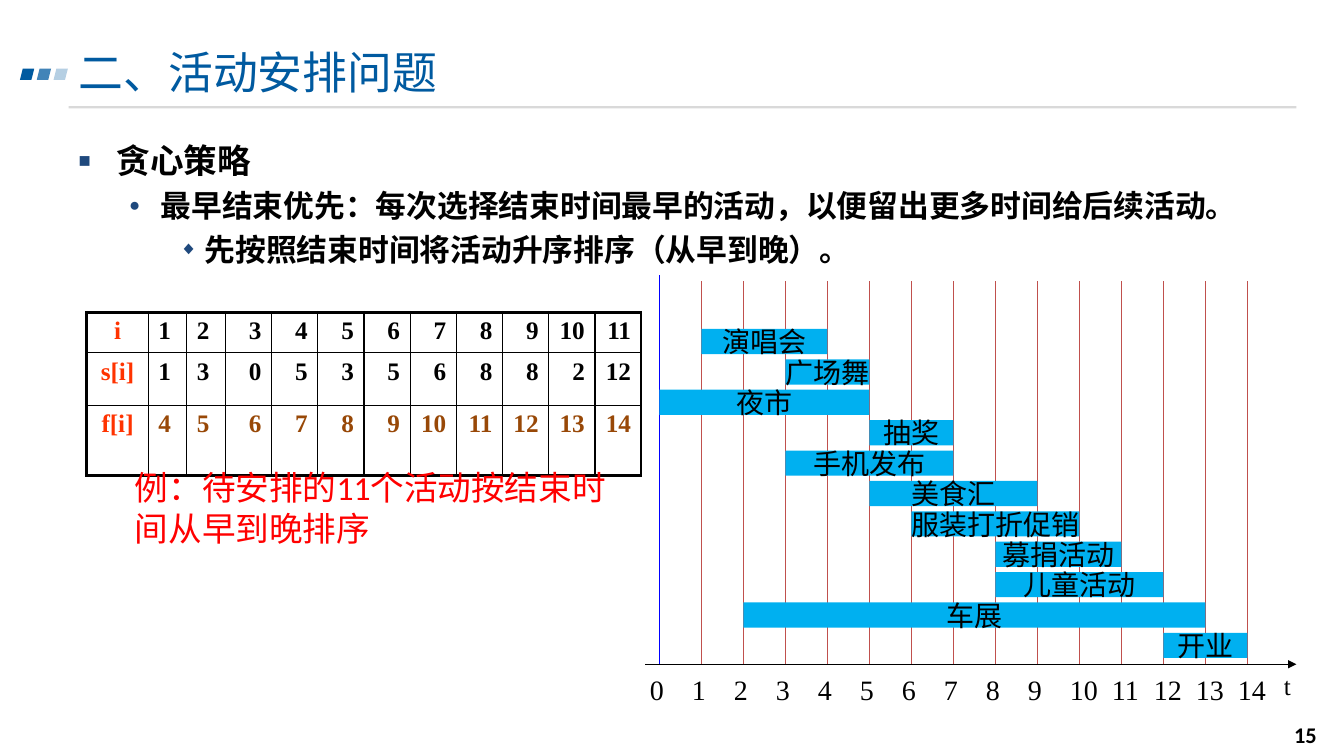
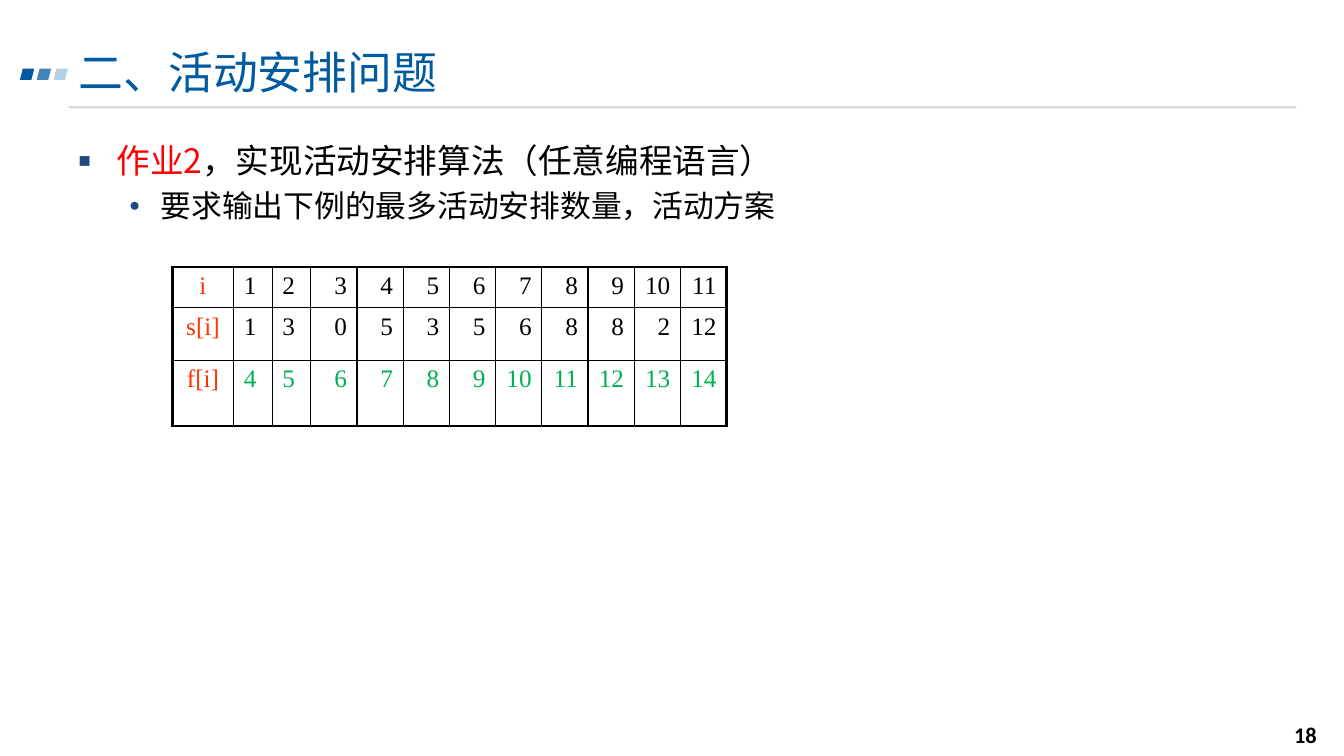
from lxml import etree
from pptx import Presentation
from pptx.dml.color import RGBColor
from pptx.enum import shapes, text
from pptx.oxml.ns import qn
from pptx.util import Pt

BLACK = RGBColor(0x00, 0x00, 0x00)
RED = RGBColor(0xFF, 0x00, 0x00)
BLUE = RGBColor(0x00, 0x5A, 0xA0)
GRAY = RGBColor(0xD9, 0xD9, 0xD9)
BULLET = RGBColor(0x1F, 0x49, 0x7D)
GRID = RGBColor(0xC0, 0x50, 0x4D)
ORIGIN = RGBColor(0x00, 0x00, 0xFF)
BAR = RGBColor(0x00, 0xB0, 0xF0)
HEAD = RGBColor(0xFF, 0x33, 0x00)
BROWN = RGBColor(0x98, 0x48, 0x07)
GREEN = RGBColor(0x00, 0xB0, 0x50)

CJK, SANS, SERIF = "Noto Sans CJK SC", "Calibri", "Times New Roman"
LEFT, CENTER, RIGHT = text.PP_ALIGN.LEFT, text.PP_ALIGN.CENTER, text.PP_ALIGN.RIGHT
TOP, MIDDLE = text.MSO_ANCHOR.TOP, text.MSO_ANCHOR.MIDDLE

TITLE = "二、活动安排问题"
STRATEGY = [
    [("贪心策略", BLACK)],
    [("最早结束优先：每次选择结束时间最早的活动，以便留出更多时间给后续活动。", BLACK)],
    [("先按照结束时间将活动升序排序（从早到晚）。", BLACK)],
]
HOMEWORK = [
    [("作业2", RED), ("，实现活动安排算法（任意编程语言）", BLACK)],
    [("要求输出下例的最多活动安排数量，活动方案", BLACK)],
]
EXAMPLE = "例：待安排的11个活动按结束时间从早到晚排序"
LEVELS = [("■", 27, -27, 24), ("●", 58.5, -22.5, 22), ("◆", 90, -18, 22)]

TABLE = [
    ("i", range(1, 12)),
    ("s[i]", (1, 3, 0, 5, 3, 5, 6, 8, 8, 2, 12)),
    ("f[i]", range(4, 15)),
]
COL_WIDTHS = [44] + [27.5] * 2 + [33] * 9

BARS = [
    ("演唱会", 1, 4), ("广场舞", 3, 5), ("夜市", 0, 5), ("抽奖", 5, 7),
    ("手机发布", 3, 7), ("美食汇", 5, 9), ("服装打折促销", 6, 10),
    ("募捐活动", 8, 11), ("儿童活动", 8, 12), ("车展", 2, 13), ("开业", 12, 14),
]
HOURS = 14
AXIS_X, AXIS_Y, HOUR_W = 471, 474.5, 30
GRID_TOP, BAR_TOP, BAR_PITCH, BAR_H = 201, 235, 21.7, 18


def sub(parent, tag, **attrs):
    return etree.SubElement(parent, qn("a:" + tag), attrs)


def style(r, size, color, font=SANS, bold=False):
    r.font.size, r.font.bold, r.font.name = Pt(size), bold, font
    r.font.color.rgb = color
    sub(r._r.get_or_add_rPr(), "ea", typeface=CJK)


def write(tf, words, size, color, font=SANS, bold=False, align=LEFT, anchor=TOP, wrap=True):
    tf.text = words
    tf.word_wrap, tf.vertical_anchor = wrap, anchor
    p = tf.paragraphs[0]
    p.alignment = align
    style(p.runs[0], size, color, font, bold)
    return p


def place(sp, x, y, w, h):
    sp.left, sp.top, sp.width, sp.height = Pt(x), Pt(y), Pt(w), Pt(h)


def add_text(s, x, y, w, h, *args, **options):
    sp = s.shapes.add_textbox(Pt(x), Pt(y), Pt(w), Pt(h))
    return write(sp.text_frame, *args, **options)


def add_block(s, kind, x, y, w, h, color, alpha=100):
    sp = s.shapes.add_shape(kind, Pt(x), Pt(y), Pt(w), Pt(h))
    sp.shadow.inherit = False
    sp.fill.solid()
    sp.fill.fore_color.rgb = color
    sp.line.fill.background()
    if alpha < 100:
        sub(sp._element.spPr.find(".//" + qn("a:srgbClr")), "alpha", val=str(alpha * 1000))
    return sp


def add_line(s, x1, y1, x2, y2, color, arrow=False):
    ln = s.shapes.add_connector(shapes.MSO_CONNECTOR.STRAIGHT, Pt(x1), Pt(y1), Pt(x2), Pt(y2))
    ln.line.color.rgb = color
    ln.line.width = Pt(0.75)
    if arrow:
        sub(ln.line._get_or_add_ln(), "tailEnd", type="triangle")
    sub(ln._element.spPr, "effectLst")


def add_list(sp, items, bold):
    place(sp, 49, 94.3, 873, 374.4)
    tf = sp.text_frame
    tf.auto_size, tf.vertical_anchor = text.MSO_AUTO_SIZE.NONE, TOP
    for level, (item, (mark, margin, indent, size)) in enumerate(zip(items, LEVELS)):
        p = tf.paragraphs[0] if level == 0 else tf.add_paragraph()
        p.level = level
        pPr = p._p.get_or_add_pPr()
        pPr.set("marL", str(Pt(margin)))
        pPr.set("indent", str(Pt(indent)))
        sub(sub(pPr, "buClr"), "srgbClr", val=str(BULLET))
        sub(pPr, "buSzPct", val="60000")
        sub(pPr, "buChar", char=mark)
        p.line_spacing, p.space_before = Pt(31), Pt(0)
        for words, color in item:
            r = p.add_run()
            r.text = words
            style(r, size, color, CJK, bold)


def add_slide(prs, number, items, bold):
    s = prs.slides.add_slide(prs.slide_layouts[1])
    add_block(s, shapes.MSO_SHAPE.RECTANGLE, 49, 75.8, 877, 1.6, GRAY)
    for i, alpha in enumerate((100, 74, 29)):
        add_block(s, shapes.MSO_SHAPE.PARALLELOGRAM, 14.3 + 12 * i, 49, 10.2, 8, BLUE, alpha)
    add_text(s, 895.7, 510.5, 52, 28.8, str(number), 16, BLACK, bold=True, align=RIGHT, anchor=MIDDLE)
    title = s.shapes.title
    place(title, 49, 31.7, 793.4, 51)
    title.text_frame.auto_size = text.MSO_AUTO_SIZE.NONE
    write(title.text_frame, TITLE, 32, BLUE).line_spacing = Pt(35)
    add_list(s.placeholders[1], items, bold)
    return s


def set_borders(cell, **widths):
    tcPr = cell._tc.get_or_add_tcPr()
    for side, width in widths.items():
        ln = sub(tcPr, "ln" + side, w=str(Pt(width)))
        sub(sub(ln, "solidFill"), "srgbClr", val=str(BLACK))


def add_activity_table(s, x, y, heights, finish_color, bold):
    rows, cols = len(TABLE), len(COL_WIDTHS)
    frame = s.shapes.add_table(rows, cols, Pt(x), Pt(y), Pt(sum(COL_WIDTHS)), Pt(sum(heights)))
    table = frame.table
    table.first_row = table.horz_banding = False
    for c, width in enumerate(COL_WIDTHS):
        table.columns[c].width = Pt(width)
    for i, (label, values) in enumerate(TABLE):
        table.rows[i].height = Pt(heights[i])
        for c, value in enumerate([label, *values]):
            cell = table.cell(i, c)
            color = HEAD if c == 0 else finish_color if i == rows - 1 else BLACK
            align = CENTER if c == 0 else LEFT if c < 3 else RIGHT
            write(cell.text_frame, str(value), 18, color, SERIF, bold, align)
            set_borders(
                cell,
                L=2.25 if c == 0 else 1,
                R=2.25 if c == cols - 1 else 1,
                T=2.25 if i == 0 else 1,
                B=2.25 if i == rows - 1 else 1,
            )
            cell.fill.background()


def add_timeline(s):
    for hour in range(HOURS + 1):
        x = AXIS_X + HOUR_W * hour
        top, color = (GRID_TOP, GRID) if hour else (GRID_TOP - 4.5, ORIGIN)
        add_line(s, x, AXIS_Y, x, top, color)
    add_line(s, 460.8, AXIS_Y, 926, AXIS_Y, BLACK, arrow=True)
    labels = "\t".join(str(hour) for hour in range(HOURS + 1))
    p = add_text(s, 457.2, 476.6, 460, 31, labels, 20, BLACK, SERIF)
    tabs = sub(p._p.get_or_add_pPr(), "tabLst")
    for hour in range(1, HOURS + 1):
        sub(tabs, "tab", pos=str(Pt(HOUR_W * hour)), algn="l")
    add_text(s, 910, 475.2, 20.2, 28.8, "t", 18, BLACK, SERIF)
    for i, (name, start, finish) in enumerate(BARS):
        sp = add_block(s, shapes.MSO_SHAPE.RECTANGLE, AXIS_X + HOUR_W * start,
                       BAR_TOP + BAR_PITCH * i, HOUR_W * (finish - start), BAR_H, BAR)
        write(sp.text_frame, name, 20, BLACK, SERIF, align=CENTER, anchor=MIDDLE, wrap=False)


def main():
    prs = Presentation()
    prs.slide_width, prs.slide_height = Pt(960), Pt(540)

    s = add_slide(prs, 15, STRATEGY, True)
    add_timeline(s)
    add_activity_table(s, 62, 223, (28.8, 37.6, 50.4), BROWN, True)
    add_text(s, 89.3, 330.5, 358.6, 65.5, EXAMPLE, 24, RED).line_spacing = Pt(28.6)

    s = add_slide(prs, 18, HOMEWORK, False)
    add_activity_table(s, 123, 190.8, (28.8, 37.6, 47), GREEN, False)

    prs.save("out.pptx")


if __name__ == "__main__":
    main()
